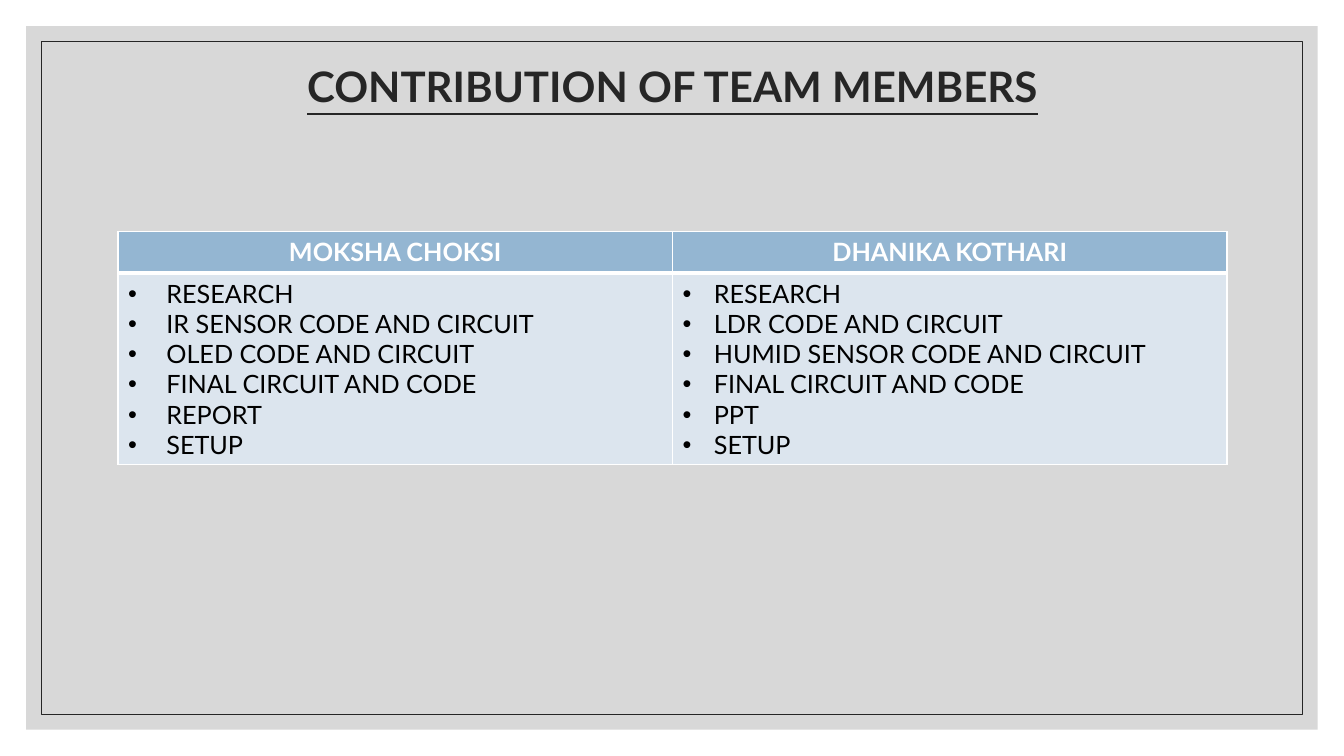
from lxml.etree import SubElement
from pptx import Presentation
from pptx.dml.color import RGBColor
from pptx.enum.shapes import MSO_SHAPE
from pptx.enum.text import MSO_ANCHOR, MSO_AUTO_SIZE, PP_ALIGN
from pptx.oxml.ns import qn
from pptx.util import Inches, Pt

WHITE = RGBColor(0xFF, 0xFF, 0xFF)
BLACK = RGBColor(0x00, 0x00, 0x00)
CHARCOAL = RGBColor(0x26, 0x26, 0x26)
PANEL_GRAY = RGBColor(0xBF, 0xBF, 0xBF)
HEADER_BLUE = RGBColor(0x94, 0xB6, 0xD2)
BODY_BLUE = RGBColor(0xDC, 0xE5, 0xEE)

# Member, bullet indent in inches, tasks
CONTRIBUTIONS = [
    ("MOKSHA CHOKSI", 0.38, [
        "RESEARCH", "IR SENSOR CODE AND CIRCUIT", "OLED CODE AND CIRCUIT",
        "FINAL CIRCUIT AND CODE", "REPORT", "SETUP"]),
    ("DHANIKA KOTHARI", 0.31, [
        "RESEARCH", "LDR CODE AND CIRCUIT", "HUMID SENSOR CODE AND CIRCUIT",
        "FINAL CIRCUIT AND CODE", "PPT", "SETUP"]),
]


def write_text(frame, lines, *, font="Lato", size=18, color=BLACK, bold=False,
               underline=False, align=PP_ALIGN.LEFT, line_spacing=None,
               bullet_indent=None):
    """Fill a text frame with one paragraph per line, optionally bulleted."""
    for index, line in enumerate(lines):
        paragraph = frame.add_paragraph() if index else frame.paragraphs[0]
        if bullet_indent:
            properties = paragraph._p.get_or_add_pPr()
            properties.set("marL", str(Inches(bullet_indent)))
            properties.set("indent", str(-Inches(bullet_indent)))
            SubElement(properties, qn("a:buFont"), typeface="Arial")
            SubElement(properties, qn("a:buChar"), char="•")
        paragraph.alignment = align
        if line_spacing:
            paragraph.line_spacing = line_spacing
        run = paragraph.add_run()
        run.text = line
        run.font.name = font
        run.font.size = Pt(size)
        run.font.bold = bold
        run.font.underline = underline
        run.font.color.rgb = color


def set_borders(cell, color, **widths):
    """Draw cell borders; widths maps L, R, T and B to points."""
    properties = cell._tc.get_or_add_tcPr()
    for side in "LRTB":
        border = SubElement(properties, qn(f"a:ln{side}"),
                            w=str(Pt(widths[side])))
        fill = SubElement(border, qn("a:solidFill"))
        SubElement(fill, qn("a:srgbClr"), val=str(color))


class SlideBuilder:
    def __init__(self, presentation):
        layout = presentation.slide_layouts.get_by_name("Title Only")
        self.slide = presentation.slides.add_slide(layout)
        self.border_color = WHITE

    def frame(self, margin, *, fill=None, alpha=100, line=None):
        """Add a rectangle inset from every slide edge by margin inches."""
        shape = self.slide.shapes.add_shape(
            MSO_SHAPE.RECTANGLE, Inches(margin), Inches(margin),
            Inches(13.33 - 2 * margin), Inches(7.5 - 2 * margin))
        shape.shadow.inherit = False
        if fill is None:
            shape.fill.background()
        else:
            shape.fill.solid()
            shape.fill.fore_color.rgb = fill
            tint = shape._element.spPr.find(f".//{qn('a:srgbClr')}")
            SubElement(tint, qn("a:alpha"), val=str(alpha * 1000))
        if line is None:
            shape.line.fill.background()
        else:
            shape.line.color.rgb = line
            shape.line.width = Pt(0.5)

    def title(self, text):
        title = self.slide.shapes.title
        title.left, title.top = Inches(1.17), Inches(0.7)
        title.width, title.height = Inches(11), Inches(0.37)
        self.slide.shapes._spTree.append(title._element)  # above the frames
        title.text_frame.auto_size = MSO_AUTO_SIZE.NONE
        title.text_frame.vertical_anchor = MSO_ANCHOR.MIDDLE
        write_text(title.text_frame, [text], size=30, color=CHARCOAL,
                   bold=True, underline=True, align=PP_ALIGN.CENTER,
                   line_spacing=0.9)

    def cell(self, cell, lines, fill, *, top=1, bottom=1, **text_format):
        set_borders(cell, self.border_color, L=1, R=1, T=top, B=bottom)
        cell.fill.solid()
        cell.fill.fore_color.rgb = fill
        write_text(cell.text_frame, lines, **text_format)

    def contribution_table(self, contributions):
        table = self.slide.shapes.add_table(
            2, len(contributions), Inches(1.17), Inches(2.3),
            Inches(11), Inches(2.31)).table
        table.horz_banding = False
        table.rows[0].height = Inches(0.41)
        table.rows[1].height = Inches(1.9)
        for column, (member, indent, tasks) in enumerate(contributions):
            self.cell(table.cell(0, column), [member], HEADER_BLUE, bottom=3,
                      color=WHITE, bold=True, align=PP_ALIGN.CENTER)
            self.cell(table.cell(1, column), tasks, BODY_BLUE, top=3,
                      bullet_indent=indent)


def main():
    presentation = Presentation()
    presentation.slide_width = Inches(13.33)
    presentation.slide_height = Inches(7.5)
    builder = SlideBuilder(presentation)
    builder.frame(0.26, fill=PANEL_GRAY, alpha=60)
    builder.frame(0.41, line=CHARCOAL)
    builder.title("CONTRIBUTION OF TEAM MEMBERS")
    builder.contribution_table(CONTRIBUTIONS)
    presentation.save("out.pptx")


if __name__ == "__main__":
    main()
